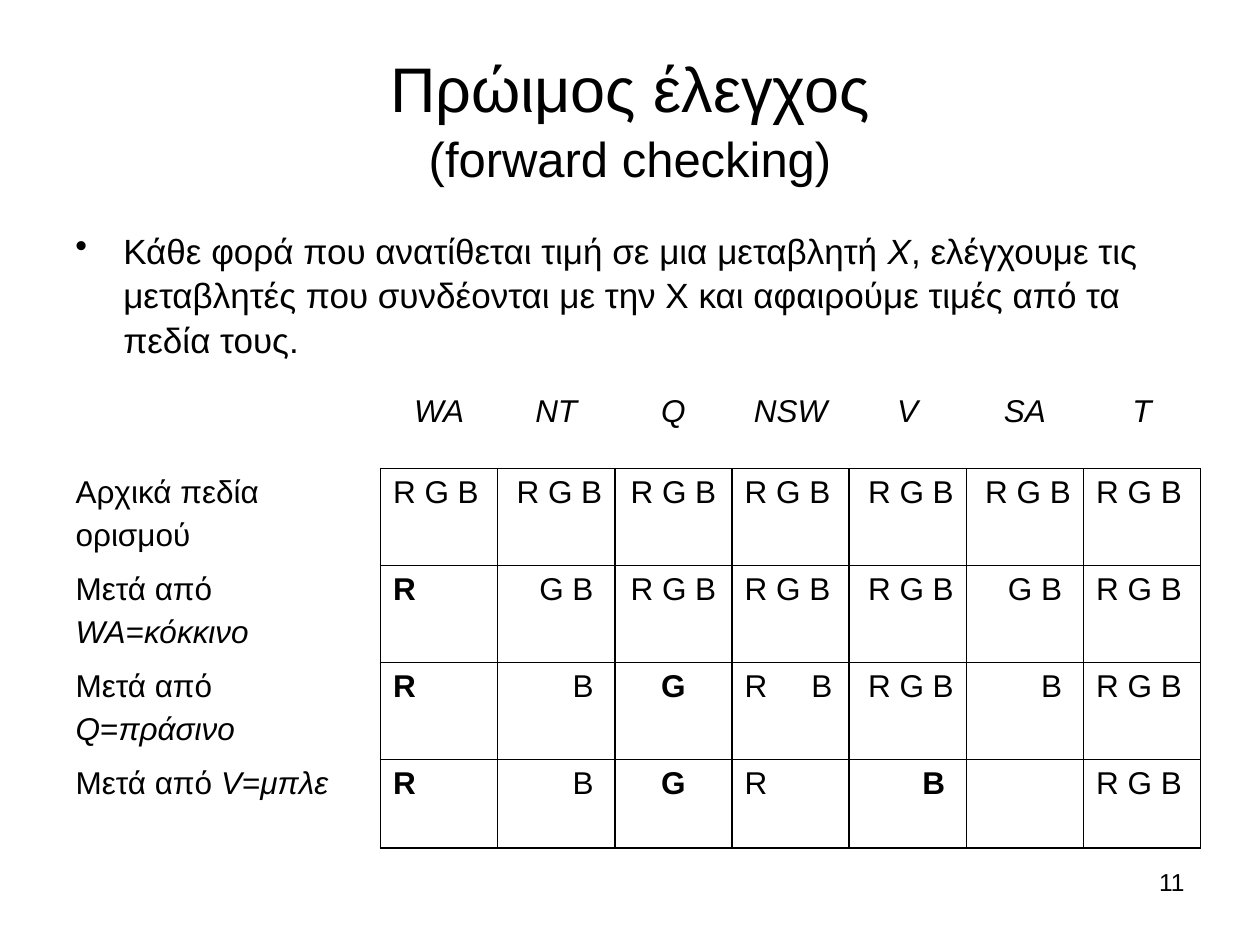
import pptx
import pptx.util
import pptx.dml.color
import pptx.enum.text
import pptx.oxml
import pptx.oxml.ns

Inches = pptx.util.Inches
Pt = pptx.util.Pt
Align = pptx.enum.text.PP_ALIGN
Anchor = pptx.enum.text.MSO_ANCHOR
HUES = {"ink": "000000"}
SIDES = {"l": Align.LEFT, "c": Align.CENTER, "r": Align.RIGHT}
HEADS = ["WA", "NT", "Q", "NSW", "V", "SA", "T"]
LABELS = [
    [["Αρχικά πεδία"], ["ορισμού"]],
    [["Μετά από"], ["/WA", "=", "/κόκκινο"]],
    [["Μετά από"], ["/Q", "=", "/πράσινο"]],
    [["Μετά από ", "/V", "=", "/μπλε"]],
]
FULL = "R G B"
FIELDS = [
    [FULL] * 7,
    ["*R", "G B", FULL, FULL, FULL, "G B", FULL],
    ["*R", "B", "*G", "R\tB", FULL, "B", FULL],
    ["*R", "B", "*G", "R", "*B", "", FULL],
]
FLOW = "lrclrrl"


class Deck:
    """Holds the style and the current slide, and draws each kind of element."""

    def __init__(self, font="Arial"):
        self.font = font
        self.show = pptx.Presentation()
        self.show.slide_width, self.show.slide_height = Inches(10), Inches(7.5)
        self.slide = self.show.slides.add_slide(self.show.slide_layouts[6])

    def node(self, tag, **vals):
        item = pptx.oxml.parse_xml(f"<a:{tag} {pptx.oxml.ns.nsdecls('a')}/>")
        for key, val in vals.items():
            item.set(key, str(val))
        return item

    def words(self, para, parts, size):
        for part in parts:
            run = para.add_run()
            run.text = part.lstrip("/*")
            look = {"name": self.font, "size": Pt(size),
                    "italic": part.startswith("/"), "bold": part.startswith("*")}
            for key, val in look.items():
                setattr(run.font, key, val)
            run.font.color.rgb = pptx.dml.color.RGBColor.from_string(HUES["ink"])

    def shape(self, para, side="l", **form):
        for key, val in {"alignment": SIDES[side], **form}.items():
            setattr(para, key, val)

    def hang(self, para):
        props = para._p.get_or_add_pPr()
        props.set("marL", str(Inches(0.38)))
        props.set("indent", str(-Inches(0.38)))
        return props

    def box(self, left, top, width, height, anchor=Anchor.TOP):
        place = map(Inches, (left, top, width, height))
        frame = self.slide.shapes.add_textbox(*place).text_frame
        for key, val in {"word_wrap": True, "vertical_anchor": anchor}.items():
            setattr(frame, key, val)
        return frame.paragraphs[0]

    def title(self, main, sub):
        para = self.box(0.5, 0.3, 9, 1.25, Anchor.MIDDLE)
        self.shape(para, "c", line_spacing=1.06)
        self.words(para, [main], 36)
        para.add_line_break()
        self.words(para, [sub], 28)

    def bullet(self, parts):
        para = self.box(0.5, 1.75, 9.08, 4.95)
        self.shape(para, space_before=Pt(5), line_spacing=1.06)
        self.hang(para).append(self.node("buChar", char="•"))
        self.words(para, parts, 20)

    def edge(self, cell, sides):
        props = cell._tc.get_or_add_tcPr()
        for side in "LRTB":
            line = self.node("ln" + side, w=Pt(0.96))
            if side in sides:
                fill = self.node("solidFill")
                fill.append(self.node("srgbClr", val=HUES["ink"]))
            else:
                fill = self.node("noFill")
            line.append(fill)
            props.append(line)
        cell.fill.background()

    def fill(self, cell, lines, side="l", gap=0):
        for key in ("left", "right"):
            setattr(cell, "margin_" + key, Inches(0.1))
        frame = cell.text_frame
        for n, parts in enumerate(lines):
            para = frame.add_paragraph() if n else frame.paragraphs[0]
            self.shape(para, side, space_before=Pt(gap))
            if "\t" in parts[0]:
                tabs = self.node("tabLst")
                tabs.append(self.node("tab", pos=Inches(0.53), algn="l"))
                para._p.get_or_add_pPr().append(tabs)
            else:
                self.hang(para)
            self.words(para, parts, 18)

    def grid(self, heads, labels, fields):
        place = map(Inches, (0.5, 3.08, 9, 3.61))
        table = self.slide.shapes.add_table(5, 8, *place).table
        table.first_row = table.horz_banding = False
        for n, col in enumerate(table.columns):
            col.width = Inches(0.93 if n else 2.52)
        for row, high in zip(table.rows, (0.64, 0.77, 0.77, 0.77, 0.7)):
            row.height = Inches(high)
        self.edge(table.cell(0, 0), "")
        for c, head in enumerate(heads, 1):
            self.fill(table.cell(0, c), [["/" + head]], "c")
            self.edge(table.cell(0, c), "B")
        for r, (label, row) in enumerate(zip(labels, fields), 1):
            self.fill(table.cell(r, 0), label, gap=4.5)
            self.edge(table.cell(r, 0), "R")
            for c, (text, side) in enumerate(zip(row, FLOW), 1):
                tail = " " if side == "r" else ""
                self.fill(table.cell(r, c), [[text + tail]] if text else [], side)
                self.edge(table.cell(r, c), "LRTB")

    def number(self, text):
        para = self.box(7.17, 6.83, 2.33, 0.52)
        self.shape(para, "r")
        self.words(para, [text], 14)


def main():
    deck = Deck()
    deck.title("Πρώιμος έλεγχος", "(forward checking)")
    deck.bullet([
        "Κάθε φορά που ανατίθεται τιμή σε μια μεταβλητή ", "/X",
        ", ελέγχουμε τις μεταβλητές που συνδέονται με την Χ "
        "και αφαιρούμε τιμές από τα πεδία τους."])
    deck.grid(HEADS, LABELS, FIELDS)
    deck.number("11")
    deck.show.save("out.pptx")


if __name__ == "__main__":
    main()
